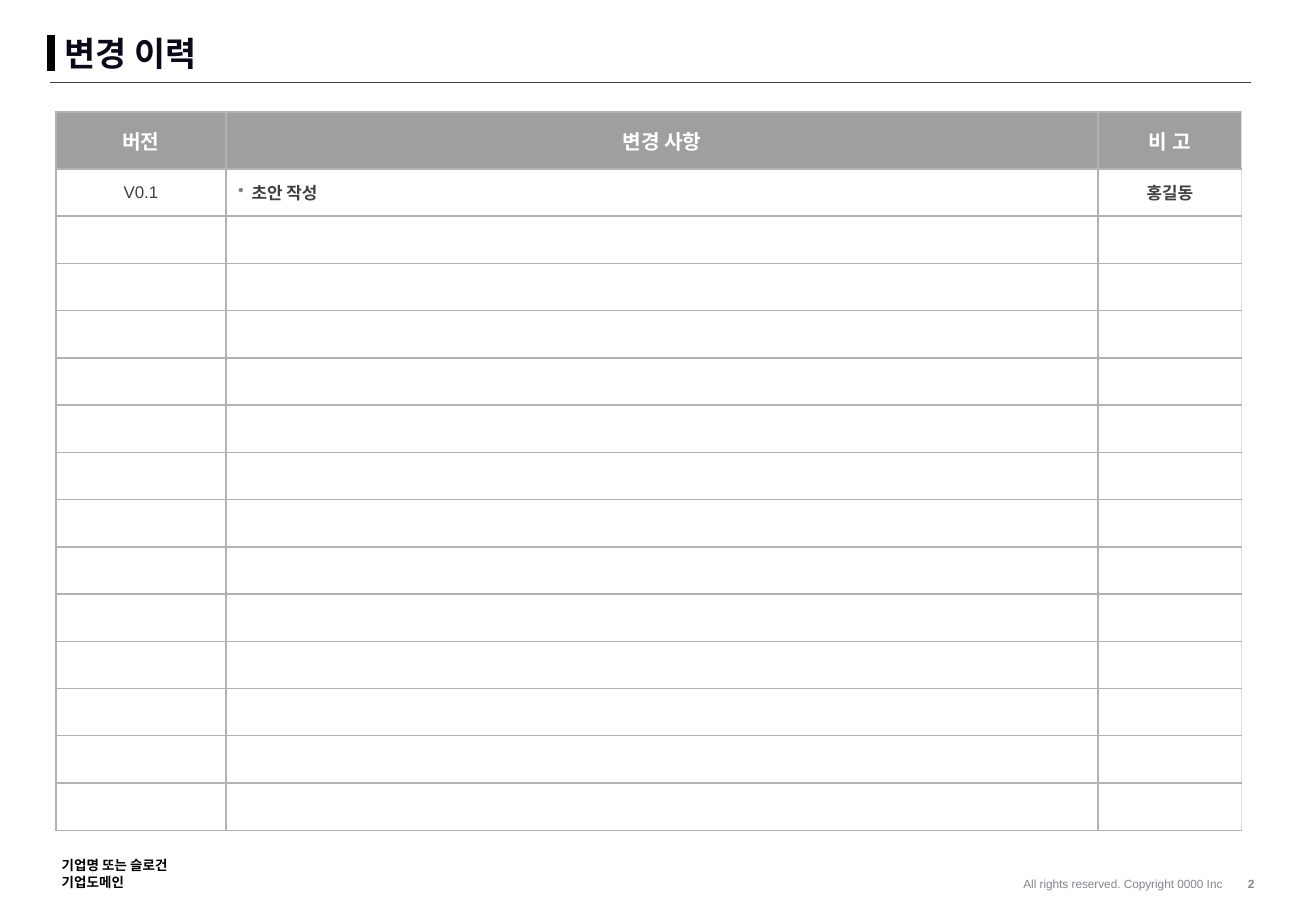
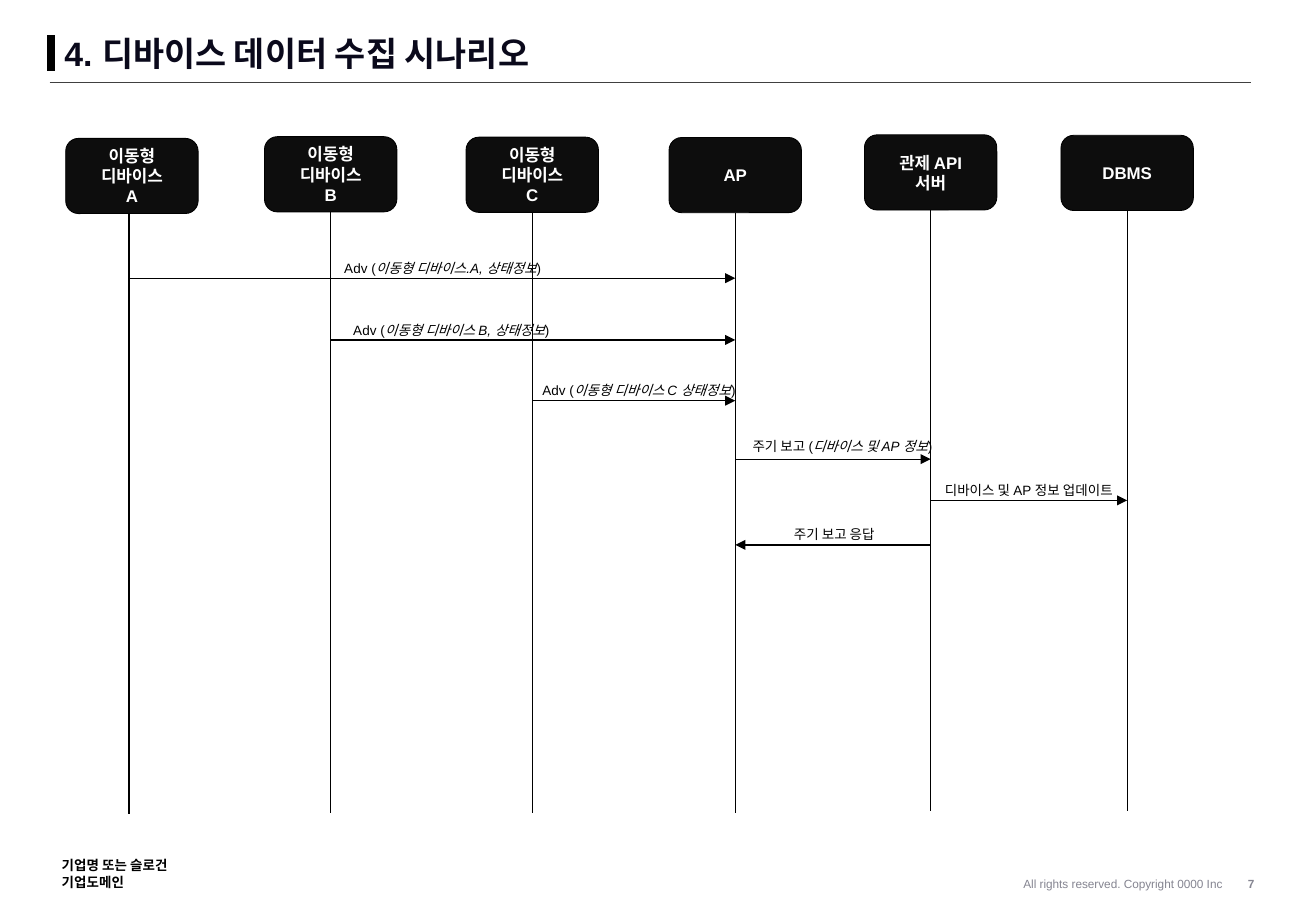
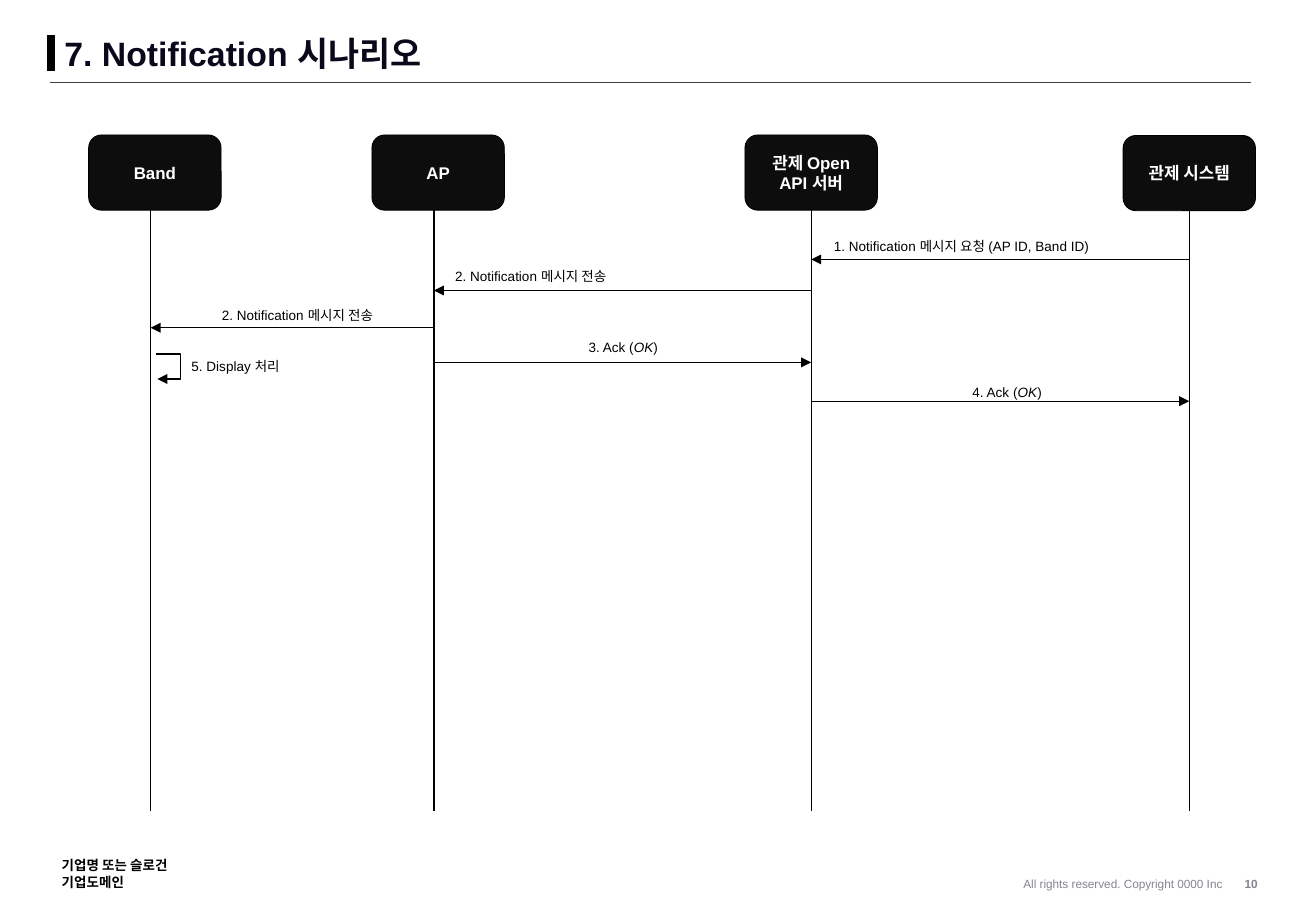
from lxml.etree import SubElement
from pptx import Presentation
from pptx.dml.color import RGBColor
from pptx.enum.shapes import MSO_CONNECTOR as LINK, MSO_SHAPE as SHAPE
from pptx.enum.text import MSO_ANCHOR as ANCHOR, MSO_AUTO_SIZE as FIT, PP_ALIGN as ALIGN
from pptx.oxml.ns import qn
from pptx.util import Pt

rgb = RGBColor.from_string
BLACK, DARK, BOX, WHITE = "000000", "404040", "0D0D0D", "FFFFFF"
TITLE, FOOTER, GRID, EDGE, BULLET = "0A091B", "858591", "B2B2B2", "DDDDDD", "808080"


def write(frame, lines, size, color, bold=False, frame_format={}, **paragraph_format):
    for key, value in frame_format.items():
        setattr(frame, key, value)
    for number, line in enumerate(lines):
        paragraph = frame.add_paragraph() if number else frame.paragraphs[0]
        for key, value in paragraph_format.items():
            setattr(paragraph, key, value)
        for piece, text in enumerate(line.split("*")):
            run = paragraph.add_run()
            run.text = text
            font = {"name": "Arial", "size": Pt(size), "bold": bold, "italic": piece % 2 == 1}
            for key, value in font.items():
                setattr(run.font, key, value)
            run.font.color.rgb = rgb(color)


def stroke(slide, x1, y1, x2, y2, color=BLACK, width=0.75, kind=LINK.STRAIGHT, arrow=False):
    link = slide.shapes.add_connector(kind, Pt(x1), Pt(y1), Pt(x2), Pt(y2))
    link.line.color.rgb = rgb(color)
    link.line.width = Pt(width)
    properties = link._element.spPr
    if arrow:
        SubElement(properties.find(qn("a:ln")), qn("a:tailEnd"), type="triangle")
    SubElement(properties, qn("a:effectLst"))
    return link


deck = Presentation()
deck.slide_width, deck.slide_height = Pt(780), Pt(540)

no_margins = {f"margin_{side}": 0 for side in ("left", "top", "right", "bottom")}
title_frame = {**no_margins, "vertical_anchor": ANCHOR.BOTTOM, "word_wrap": True,
               "auto_size": FIT.SHAPE_TO_FIT_TEXT}
number_frame = {**no_margins, "word_wrap": True}
middle_frame = {"vertical_anchor": ANCHOR.MIDDLE, "word_wrap": True}
free_frame = {"word_wrap": False, "auto_size": FIT.SHAPE_TO_FIT_TEXT}

pages = []
for title, number in [("변경 이력", 2), ("4. 디바이스 데이터 수집 시나리오", 7),
                      ("7. Notification 시나리오", 10)]:
    page = deck.slides.add_slide(deck.slide_layouts[6])
    stroke(page, 30.2, 21, 30.2, 42, width=5)
    stroke(page, 29.5, 49, 741.5, 49, DARK, 0.5)
    page_number = page.shapes.add_textbox(Pt(724.3), Pt(516.2), Pt(34.6), Pt(15))
    write(page_number.text_frame, [str(number)], 7, FOOTER, True, number_frame,
          alignment=ALIGN.CENTER, line_spacing=Pt(12))
    rights = page.shapes.add_textbox(Pt(543), Pt(517), Pt(188.6), Pt(13.7))
    write(rights.text_frame, ["All rights reserved. Copyright 0000 Inc"], 7, FOOTER, False,
          middle_frame, alignment=ALIGN.RIGHT)
    company = page.shapes.add_textbox(Pt(29.5), Pt(504.7), Pt(85), Pt(26.6))
    write(company.text_frame, ["기업명 또는 슬로건", "기업도메인"], 8, BLACK, True, free_frame)
    heading = page.shapes.add_textbox(Pt(38.2), Pt(21.6), Pt(607), Pt(22.3))
    write(heading.text_frame, [title], 20, TITLE, True, title_frame, line_spacing=0.9)
    pages.append(page)

entries = [["버전", "변경 사항", "비 고"], ["V0.1", "초안 작성", "홍길동"]]
entries += [[""] * 3] * 13
history = pages[0].shapes.add_table(15, 3, Pt(33.1), Pt(66.4), Pt(702.8), Pt(426)).table
history.first_row = history.horz_banding = False
for column, width in zip(history.columns, (100.8, 517, 85)):
    column.width = Pt(width)

for r, entry in enumerate(entries):
    history.rows[r].height = Pt(28.02 if r else 33.7)
    for c, text in enumerate(entry):
        cell = history.cell(r, c)
        cell.vertical_anchor = ANCHOR.MIDDLE
        properties = cell._tc.get_or_add_tcPr()
        for side in "LRTB":
            border = SubElement(properties, qn(f"a:ln{side}"), w=str(Pt(1)))
            paint = SubElement(border, qn("a:solidFill"))
            SubElement(paint, qn("a:srgbClr"), val=EDGE if c == 2 and side == "R" else GRID)
        cell.fill.background()
        paragraph = cell.text_frame.paragraphs[0]
        if r == 0:
            cell.fill.solid()
            cell.fill.fore_color.rgb = rgb(DARK)
            shade = properties.find(qn("a:solidFill")).find(qn("a:srgbClr"))
            SubElement(shade, qn("a:alpha"), val="50000")
        if not text:
            SubElement(paragraph._p, qn("a:endParaRPr"), sz="1000")
            continue
        bulleted = (r, c) == (1, 1)
        if bulleted:
            layout = paragraph._p.get_or_add_pPr()
            layout.set("marL", str(Pt(8)))
            layout.set("indent", str(Pt(-8)))
            SubElement(SubElement(layout, qn("a:buClr")), qn("a:srgbClr"), val=BULLET)
            SubElement(layout, qn("a:buChar"), char="•")
        write(cell.text_frame, [text], 10 if r else 12, DARK if r else WHITE, text != "V0.1",
              alignment=ALIGN.LEFT if bulleted else ALIGN.CENTER)

collection_actors = [
    (76.4, 82, 1.8, ["이동형", "디바이스", "A"]),
    (196, 81, 0, ["이동형", "디바이스", "B"]),
    (315.5, 81.3, 0, ["이동형", "디바이스", "C"]),
    (435.8, 81.5, 0, ["AP"]),
    (551.6, 79.9, 0, ["관제 API", "서버"]),
    (668.1, 80.2, 0, ["DBMS"]),
]
collection_messages = [
    (0, 3, 164.9, "Adv (*이동형 디바이스.A, 상태정보*)", 191.5, 150.5, 141.8),
    (1, 3, 201.5, "Adv (*이동형 디바이스 B, 상태정보*)", 197.3, 187.2, 140.4),
    (2, 3, 237.5, "Adv (*이동형 디바이스 C 상태정보*)", 308.9, 223.2, 139.7),
    (3, 4, 272.2, "주기 보고 (*디바이스 및 AP 정보*)", 432.7, 256.3, 133.2),
    (4, 5, 296.6, "디바이스 및 AP 정보 업데이트", 547.2, 282.2, 125.3),
    (4, 3, 323, "주기 보고 응답", 460, 308.2, 69.1),
]
notification_actors = [
    (89.3, 80, 2.5, ["Band"]),
    (257.2, 80, 2.5, ["AP"]),
    (480.8, 80, 0, ["관제 Open API 서버"]),
    (704.9, 80.3, 0, ["관제 시스템"]),
]
notification_messages = [
    (3, 2, 153.8, "1. Notification 메시지 요청 (AP ID, Band ID)", 482.4, 137.5, 175),
    (2, 1, 172.2, "2. Notification 메시지 전송", 258.5, 155.5, 112.3),
    (1, 0, 194.3, "2. Notification 메시지 전송", 120.2, 178.6, 112.3),
    (1, 2, 214.8, "3. Ack (*OK*)", 341.3, 197.3, 56.2),
    (2, 3, 237.8, "4. Ack (*OK*)", 568.8, 223.9, 56.2),
    (0, 0, 209.9, "5. Display 처리", 105.1, 208.8, 69.1),
]

box_width, box_height, lifeline_length = 78.5, 44.6, 400.7
for page, actors, messages in [(pages[1], collection_actors, collection_messages),
                               (pages[2], notification_actors, notification_messages)]:
    for x, top, shift, name in actors:
        actor = page.shapes.add_shape(SHAPE.ROUNDED_RECTANGLE, Pt(x + shift - box_width / 2),
                                      Pt(top), Pt(box_width), Pt(box_height))
        actor.shadow.inherit = False
        actor.adjustments[0] = 0.17
        actor.fill.solid()
        actor.fill.fore_color.rgb = rgb(BOX)
        actor.line.color.rgb = rgb(BLACK)
        actor.line.width = Pt(0.5)
        write(actor.text_frame, name, 10, WHITE, True, middle_frame, alignment=ALIGN.CENTER)
        lifeline = stroke(page, x, top + box_height, x, top + lifeline_length)
        if shift == 0:
            lifeline.begin_connect(actor, 2)

    for sender, receiver, y, text, left, top, width in messages:
        start, end = actors[sender][0], actors[receiver][0]
        if sender == receiver:
            loop = stroke(page, start + 3, y, start + 4, y + 14.8, kind=LINK.ELBOW, arrow=True)
            loop.adjustments = None
            guides = loop._element.spPr.find(qn("a:prstGeom")).find(qn("a:avLst"))
            SubElement(guides, qn("a:gd"), name="adj1", fmla="val 1500000")
        else:
            stroke(page, start, y, end, y, arrow=True)
        label = page.shapes.add_textbox(Pt(left), Pt(top), Pt(width), Pt(17.3))
        write(label.text_frame, [text], 8, BLACK, False, free_frame, alignment=ALIGN.CENTER)

deck.save("out.pptx")
